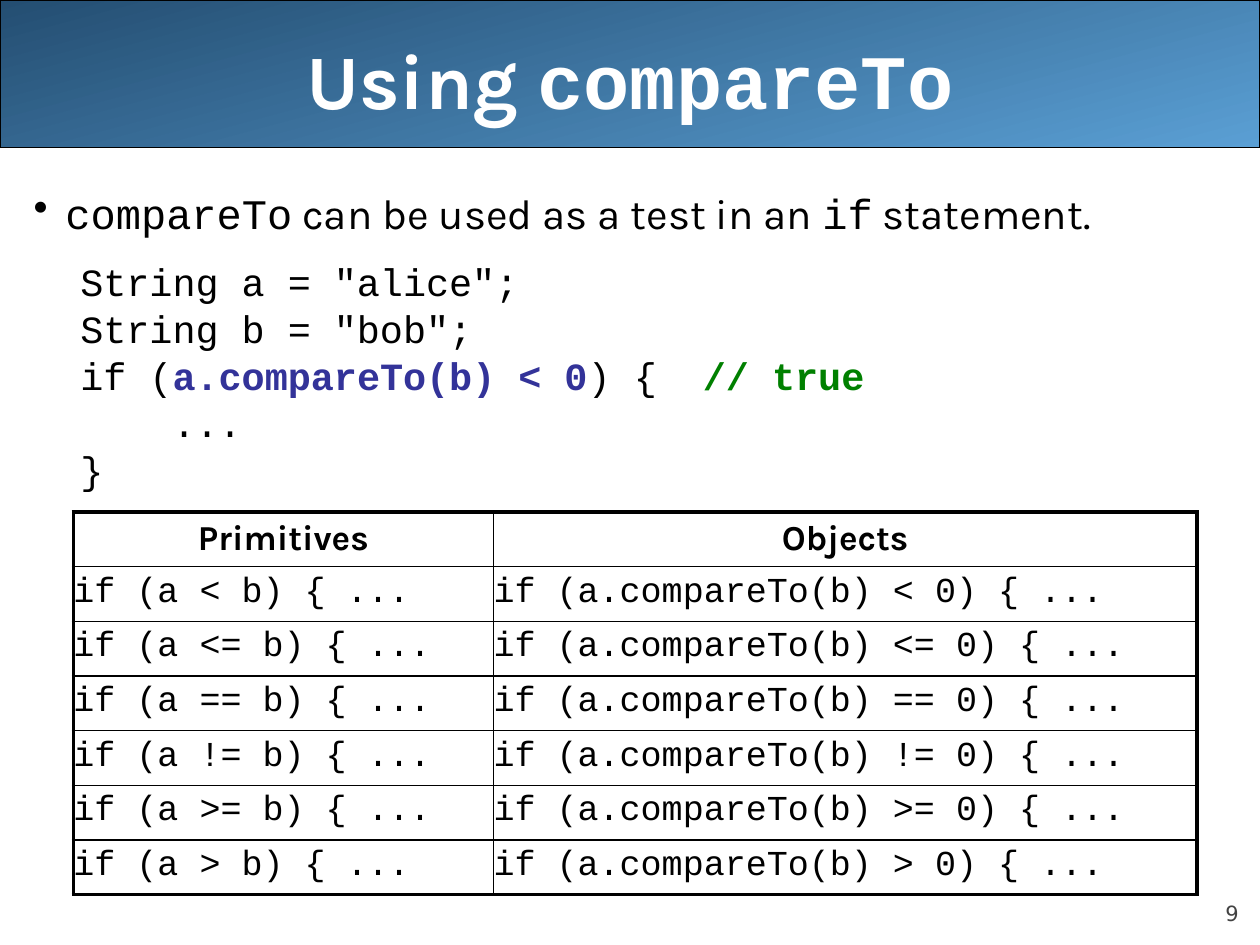
from lxml import etree
from pptx import Presentation
from pptx.dml.color import RGBColor
from pptx.enum.shapes import MSO_SHAPE
from pptx.enum.text import MSO_ANCHOR, MSO_AUTO_SIZE, PP_ALIGN
from pptx.oxml.ns import qn
from pptx.util import Cm, Pt

BAND_SHAPE = MSO_SHAPE.ROUNDED_RECTANGLE
MIDDLE, BOTTOM = MSO_ANCHOR.MIDDLE, MSO_ANCHOR.BOTTOM
LEFT, CENTER, RIGHT = PP_ALIGN.LEFT, PP_ALIGN.CENTER, PP_ALIGN.RIGHT
NO_AUTOFIT = MSO_AUTO_SIZE.NONE

COLORS = {
    "text": "000000", "title": "FFFFFF", "number": "424242",
    "call": "333399", "comment": "008000",
    "band_light": "5A9FD4", "band_dark": "244E72",
}
SANS, MONO, NUMBER_FONT = "Karla", "Courier New", "DejaVu Sans"
THIN, THICK = 1, 2.25


def rgb(name):
    return RGBColor.from_string(COLORS[name])


def write(paragraph, text, size=22, font=MONO, color="text", bold=False):
    run = paragraph.add_run()
    run.text = text
    run.font.size = Pt(size)
    run.font.name = font
    run.font.bold = bold
    run.font.color.rgb = rgb(color)


class Deck:
    def __init__(self):
        self.presentation = Presentation()
        self.presentation.slide_width = Cm(25.4)
        self.presentation.slide_height = Cm(19.05)
        self.slide = self.presentation.slides.add_slide(
            self.presentation.slide_layouts[5])
        self.shapes = self.slide.shapes

    def band(self, width, height):
        band = self.shapes.add_shape(BAND_SHAPE, 0, 0, Cm(width), Cm(height))
        band.adjustments[0] = 0
        band.shadow.inherit = False
        band.fill.gradient()
        band.fill.gradient_angle = 105
        for stop, color in zip(band.fill.gradient_stops, ("band_light", "band_dark")):
            stop.color.rgb = rgb(color)
        band.line.color.rgb = rgb("text")
        band.line.width = Pt(0.75)
        # Behind the title
        self.shapes.element.insert(2, band.element)

    def title(self, parts, left, top, width, height):
        title = self.shapes.title
        title.left, title.top = Cm(left), Cm(top)
        title.width, title.height = Cm(width), Cm(height)
        frame = title.text_frame
        frame.auto_size = NO_AUTOFIT
        frame.vertical_anchor = MIDDLE
        heading = frame.paragraphs[0]
        heading.alignment = CENTER
        for text, font in parts:
            write(heading, text, size=44, font=font, color="title", bold=True)

    def text_box(self, left, top, width, height):
        frame = self.shapes.add_textbox(
            Cm(left), Cm(top), Cm(width), Cm(height)).text_frame
        frame.word_wrap = True
        return frame

    def bullet(self, paragraph, parts):
        properties = paragraph._p.get_or_add_pPr()
        properties.set("marL", str(Cm(0.64)))
        properties.set("indent", str(-Cm(0.64)))
        etree.SubElement(properties, qn("a:buChar"), char="•")
        for text, font in parts:
            write(paragraph, text, size=24, font=font)

    def code(self, frame, lines):
        for index, parts in enumerate(lines):
            line = frame.add_paragraph()
            line._p.get_or_add_pPr().set("marL", str(Cm(0.94)))
            line.line_spacing = 0.8
            line.space_before = Pt(5.7 if index else 16.5)
            for text, color in parts:
                write(line, text, color=color, bold=color != "text")

    def border(self, cell, side, width):
        line = etree.SubElement(cell._tc.get_or_add_tcPr(), qn(f"a:ln{side}"),
                                w=str(Pt(width)))
        fill = etree.SubElement(line, qn("a:solidFill"))
        etree.SubElement(fill, qn("a:srgbClr"), val=COLORS["text"])

    def table(self, rows, left, top, widths, row_height):
        last_row, last_column = len(rows) - 1, len(widths) - 1
        table = self.shapes.add_table(
            len(rows), len(widths), Cm(left), Cm(top),
            Cm(sum(widths)), Cm(row_height * len(rows))).table
        for column, width in zip(table.columns, widths):
            column.width = Cm(width)
        for r, texts in enumerate(rows):
            table.rows[r].height = Cm(row_height)
            for c, text in enumerate(texts):
                cell = table.cell(r, c)
                cell.margin_left = cell.margin_right = 0
                # Thick outer frame, thin inner lines; borders precede the fill
                outer = {"L": c == 0, "R": c == last_column,
                         "T": r == 0, "B": r == last_row}
                for side, is_outer in outer.items():
                    self.border(cell, side, THICK if is_outer else THIN)
                cell.fill.background()
                header = r == 0
                entry = cell.text_frame.paragraphs[0]
                entry.alignment = CENTER if header else LEFT
                write(entry, text, size=20, font=SANS if header else MONO, bold=header)

    def page_number(self, number, left, top, width, height):
        frame = self.text_box(left, top, width, height)
        frame.margin_left = frame.margin_right = 0
        frame.margin_top = frame.margin_bottom = 0
        frame.vertical_anchor = BOTTOM
        frame.paragraphs[0].alignment = RIGHT
        write(frame.paragraphs[0], number, size=12, font=NUMBER_FONT, color="number")


def main():
    deck = Deck()

    # Heading
    deck.band(25.4, 2.97)
    deck.title([("Using ", SANS), ("compareTo", MONO)], 1.27, 0, 22.86, 3.18)

    # Statement and code example
    body = deck.text_box(0.43, 3.66, 24.97, 6.4)
    deck.bullet(body.paragraphs[0], [
        ("compareTo", MONO), (" can be used as a test in an ", SANS),
        ("if", MONO), (" statement.", SANS)])
    deck.code(body, [
        [('String a = "alice";', "text")],
        [('String b = "bob";', "text")],
        [("if (", "text"), ("a.compareTo(b) < 0", "call"),
         (") {  ", "text"), ("// true", "comment")],
        [("    ...", "text")],
        [("}", "text")],
    ])

    # Comparison of primitives and objects
    operators = ["<", "<=", "==", "!=", ">=", ">"]
    comparisons = [(f"if (a {op} b) {{ ...", f"if (a.compareTo(b) {op} 0) {{ ...")
                   for op in operators]
    deck.table([("Primitives", "Objects")] + comparisons,
               1.48, 10.32, (8.47, 14.18), 1.1)

    # Page number
    deck.page_number("9", 22.86, 17.65, 2.11, 1.02)

    deck.presentation.save("out.pptx")


if __name__ == "__main__":
    main()
